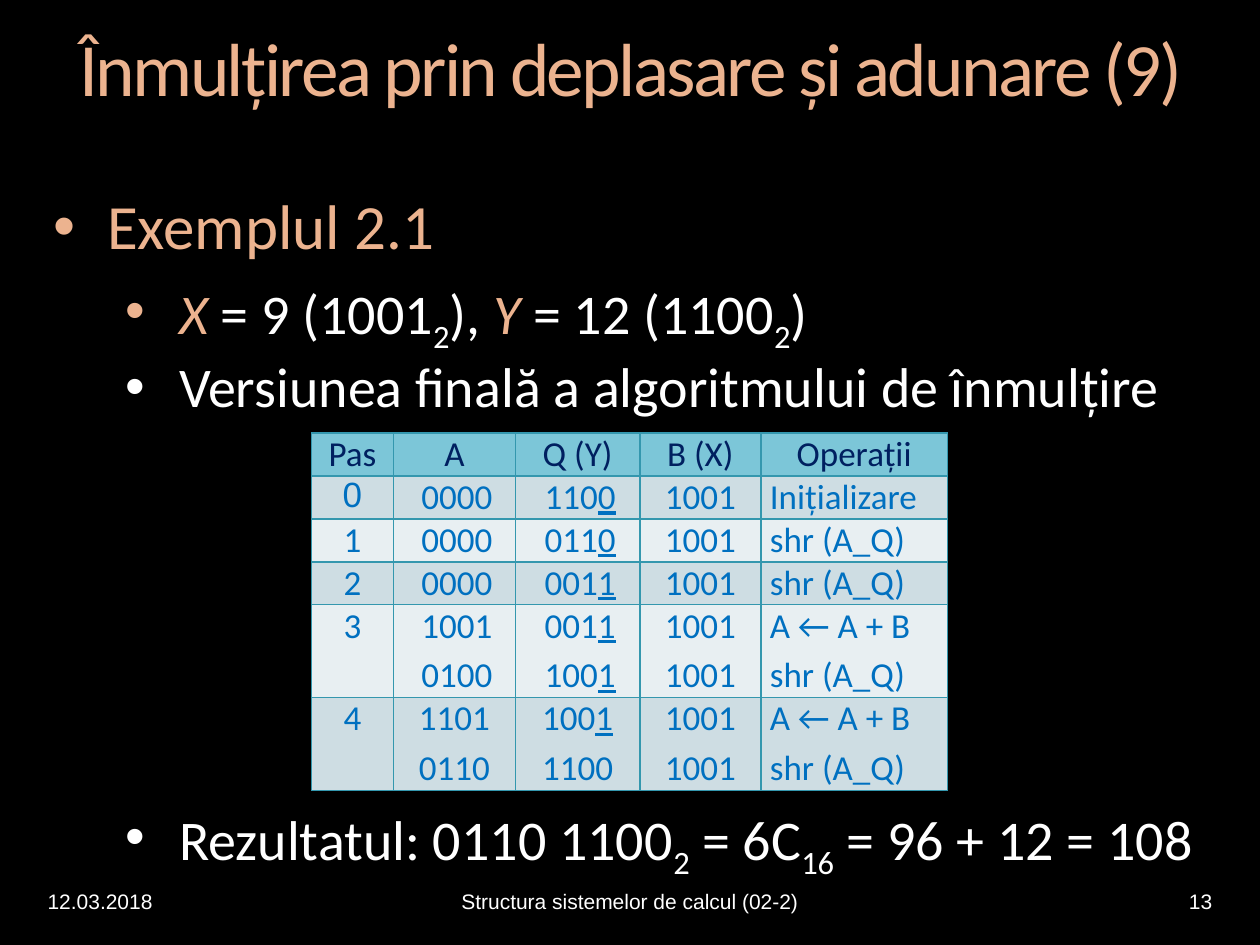
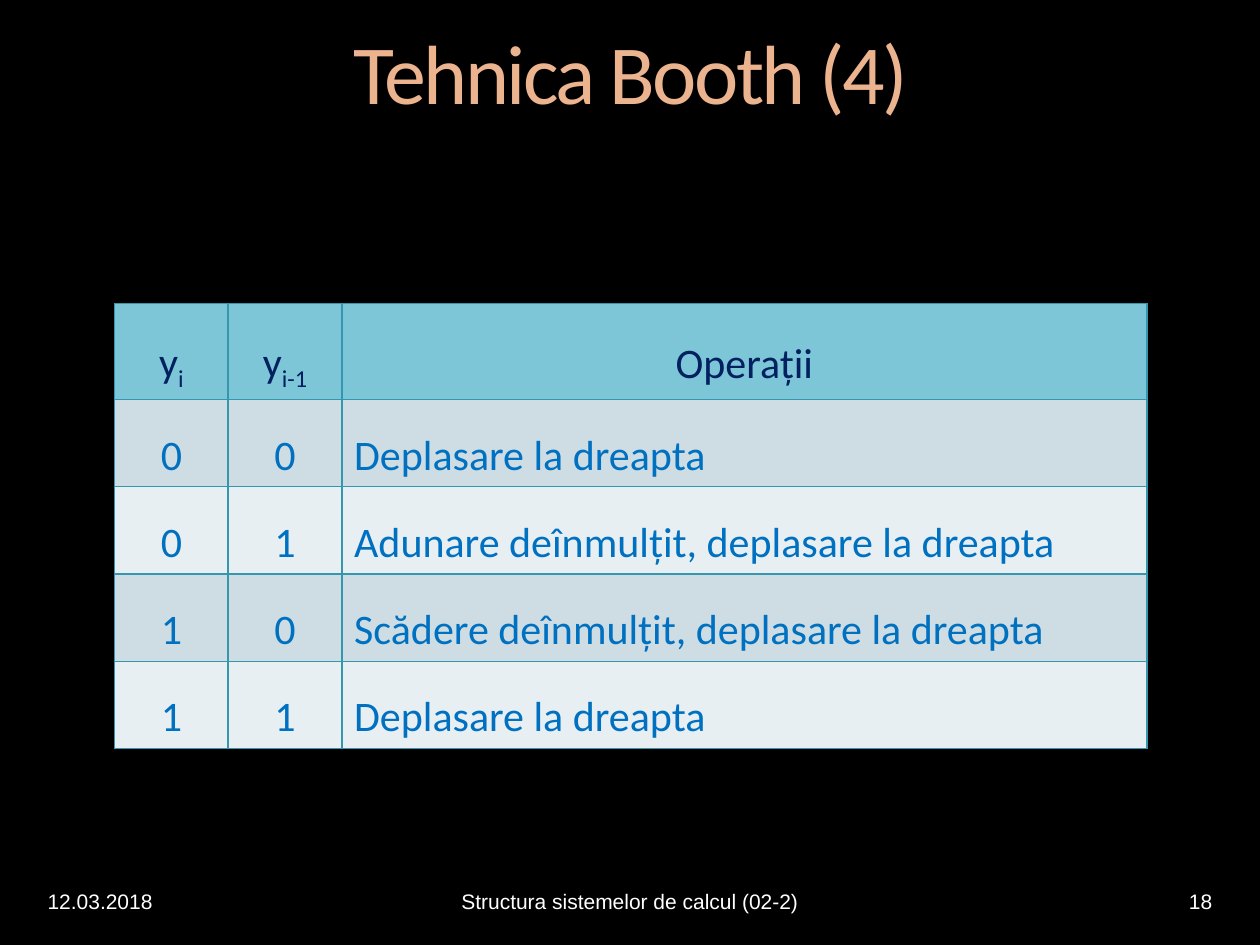
from lxml import etree
from pptx import Presentation
from pptx import util as u
from pptx.dml.color import RGBColor
from pptx.enum import text
from pptx.oxml import ns

Cm, Pt = u.Cm, u.Pt
PEACH, WHITE, NAVY, BLUE = "ECB38F", "FFFFFF", "002060", "0070C0"
HEAD, BANDS, BORDER = "7CC6D8", ("E8EFF2", "CEDDE3"), "3497AE"
LEFT, CENTER, RIGHT = text.PP_ALIGN.LEFT, text.PP_ALIGN.CENTER, text.PP_ALIGN.RIGHT
TOP, MIDDLE = text.MSO_ANCHOR.TOP, text.MSO_ANCHOR.MIDDLE
SUB = {"baseline": "-25000"}
UNDER = {"underline": True}
VAR = {"italic": True, "color": PEACH}
DATE, COURSE = "12.03.2018", "Structura sistemelor de calcul (02-2)"


def rgb(value):
    return RGBColor.from_string(value)


def assign(obj, **values):
    for key, value in values.items():
        setattr(obj, key, value)


def add_runs(p, runs, **base):
    for item in [runs] if isinstance(runs, str) else runs:
        content, style = (item, {}) if isinstance(item, str) else item
        r = p.add_run()
        r.text = content
        for key, value in {**base, **style}.items():
            if key == "color":
                r.font.color.rgb = rgb(value)
            elif key in ("baseline", "spc"):
                r.font._element.set(key, value)
            else:
                setattr(r.font, key, value)


def place(sp, box):
    assign(sp, **dict(zip(("left", "top", "width", "height"), map(Cm, box))))


def set_frame(tf, anchor, inset_x=0, inset_y=0):
    assign(tf, word_wrap=True, auto_size=text.MSO_AUTO_SIZE.NONE, vertical_anchor=anchor,
           margin_left=Cm(inset_x), margin_right=Cm(inset_x),
           margin_top=Cm(inset_y), margin_bottom=Cm(inset_y))


def set_indent(p, left, first=0):
    pPr = p._p.get_or_add_pPr()
    pPr.set("marL", str(Cm(left)))
    pPr.set("indent", str(Cm(first)))
    return pPr


def add_title(s, box, title, size):
    sp = s.shapes.title
    place(sp, box)
    set_frame(sp.text_frame, TOP)
    p = sp.text_frame.paragraphs[0]
    assign(p, alignment=CENTER, line_spacing=0.9)
    add_runs(p, title, name="Calibri", size=Pt(size), color=PEACH, spc="-150")


def add_body(s, box, items):
    sp = s.placeholders[1]
    place(sp, box)
    tf = sp.text_frame
    set_frame(tf, TOP)
    for i, (level, before, runs) in enumerate(items):
        p = tf.paragraphs[0] if i == 0 else tf.add_paragraph()
        assign(p, level=level, line_spacing=0.9, space_before=Pt(before))
        pPr = set_indent(p, 2.54 if level else 1.09, -1.09)
        etree.SubElement(pPr, ns.qn("a:buFont")).set("typeface", "Arial")
        etree.SubElement(pPr, ns.qn("a:buChar")).set("char", "•")
        add_runs(p, runs, name="Calibri", size=Pt(32 if level else 36),
                 color=WHITE if level else PEACH)


def add_footer(s, box, number):
    left, top, width, height = box
    side, mid = 6, 8.02
    parts = [(DATE, 0, side, LEFT),
             (COURSE, (width - mid) / 2, mid, CENTER),
             (str(number), width - side, side, RIGHT)]
    for content, dx, w, align in parts:
        tf = s.shapes.add_textbox(Cm(left + dx), Cm(top), Cm(w), Cm(height)).text_frame
        set_frame(tf, MIDDLE, 0.25, 0.13)
        tf.paragraphs[0].alignment = align
        add_runs(tf.paragraphs[0], content, name="Arial", size=Pt(12), color=WHITE)


def set_borders(cell):
    tcPr = cell._tc.get_or_add_tcPr()
    for i, side in enumerate(("lnL", "lnR", "lnT", "lnB")):
        ln = etree.Element(ns.qn("a:" + side), w=str(Pt(1)))
        fill = etree.SubElement(ln, ns.qn("a:solidFill"))
        etree.SubElement(fill, ns.qn("a:srgbClr")).set("val", BORDER)
        tcPr.insert(i, ln)


def add_table(s, at, widths, heights, rows, size, anchor, insets, spacing, gap=0, styles=None):
    tb = s.shapes.add_table(len(rows), len(widths), Cm(at[0]), Cm(at[1]),
                            Cm(sum(widths)), Cm(sum(heights))).table
    for col, width in zip(tb.columns, widths):
        col.width = Cm(width)
    for row, height in zip(tb.rows, heights):
        row.height = Cm(height)
    for i, row in enumerate(rows):
        for j, lines in enumerate(row):
            cell = tb.cell(i, j)
            assign(cell, vertical_anchor=anchor,
                   margin_left=Cm(insets[0]), margin_right=Cm(insets[0]),
                   margin_top=Cm(insets[1]), margin_bottom=Cm(insets[1]))
            cell.fill.solid()
            cell.fill.fore_color.rgb = rgb(BANDS[i % 2] if i else HEAD)
            set_borders(cell)
            style = (styles or {}).get((i, j), {})
            tf = cell.text_frame
            for k, runs in enumerate(lines if isinstance(lines, list) else [lines]):
                p = tf.add_paragraph() if k else tf.paragraphs[0]
                last = j == len(widths) - 1
                assign(p, alignment=LEFT if i and last else CENTER, line_spacing=spacing,
                       space_before=Pt(gap if k else 0), space_after=Pt(gap))
                if "indent" in style:
                    set_indent(p, style["indent"])
                add_runs(p, runs, name=style.get("name", "Calibri"), size=Pt(size),
                         bold=False, color=BLUE if i else NAVY)


def low_bit(bits):
    return bits[:-1], (bits[-1], UNDER)


def example_slide(prs):
    s = prs.slides.add_slide(prs.slide_layouts[1])
    add_title(s, (1.07, 0.64, 23.29, 1.65), "Înmulțirea prin deplasare și adunare (9)", 43)
    add_body(s, (1.07, 3.94, 23.29, 13.59), [
        (0, 0, "Exemplul 2.1"),
        (1, 9, [("X ", VAR), "= 9 (1001", ("2", SUB), "), ",
                ("Y ", VAR), "= 12 (1100", ("2", SUB), ")"]),
        (1, 6.5, "Versiunea finală a algoritmului de înmulțire"),
        (1, 220, ["Rezultatul: 0110 1100", ("2", SUB), " = 6C", ("16", SUB),
                  " = 96 + 12 = 108"]),
    ])
    shift, add, b = "shr (A_Q)", "A ← A + B", "1001"
    rows = [
        ["Pas", "A", "Q (Y)", "B (X)", "Operații"],
        ["0", "0000", low_bit("1100"), b, "Inițializare"],
        ["1", "0000", low_bit("0110"), b, shift],
        ["2", "0000", low_bit("0011"), b, shift],
        ["3", ["1001", "0100"], [low_bit("0011"), low_bit("1001")], [b, b], [add, shift]],
        ["4", ["1101", "0110"], [low_bit("1001"), "1100"], [b, b], [add, shift]],
    ]
    styles = {(i, j): {"indent": 0.1} for i in range(1, 5) for j in (1, 2)}
    styles[1, 0] = {"name": "Arial"}
    add_table(s, (6.28, 8.73), (1.65, 2.46, 2.51, 2.44, 3.76), [0.86] * 4 + [1.87] * 2,
              rows, 20, TOP, (0.18, 0), 1.0, 2, styles)
    add_footer(s, (0.71, 17.65, 23.98, 1.02), 13)


def booth_slide(prs):
    s = prs.slides.add_slide(prs.slide_layouts[5])
    add_title(s, (1.07, 0.64, 23.29, 1.85), "Tehnica Booth (4)", 48)
    rows = [
        [["y", ("i", SUB)], ["y", ("i-1", SUB)], "Operații"],
        ["0", "0", "Deplasare la dreapta"],
        ["0", "1", "Adunare deînmulțit, deplasare la dreapta"],
        ["1", "0", "Scădere deînmulțit, deplasare la dreapta"],
        ["1", "1", "Deplasare la dreapta"],
    ]
    rows[0][:2] = map(tuple, rows[0][:2])
    add_table(s, (2.31, 6.12), (2.29, 2.29, 16.23), [1.93] + [1.76] * 4,
              rows, 24, MIDDLE, (0.25, 0.1), 1.5)
    add_footer(s, (0.71, 17.65, 23.98, 1.02), 18)


def main():
    prs = Presentation()
    assign(prs, slide_width=Cm(25.4), slide_height=Cm(19.05))
    fill = prs.slide_master.background.fill
    fill.solid()
    fill.fore_color.rgb = rgb("000000")
    example_slide(prs)
    booth_slide(prs)
    prs.save("out.pptx")


if __name__ == "__main__":
    main()
